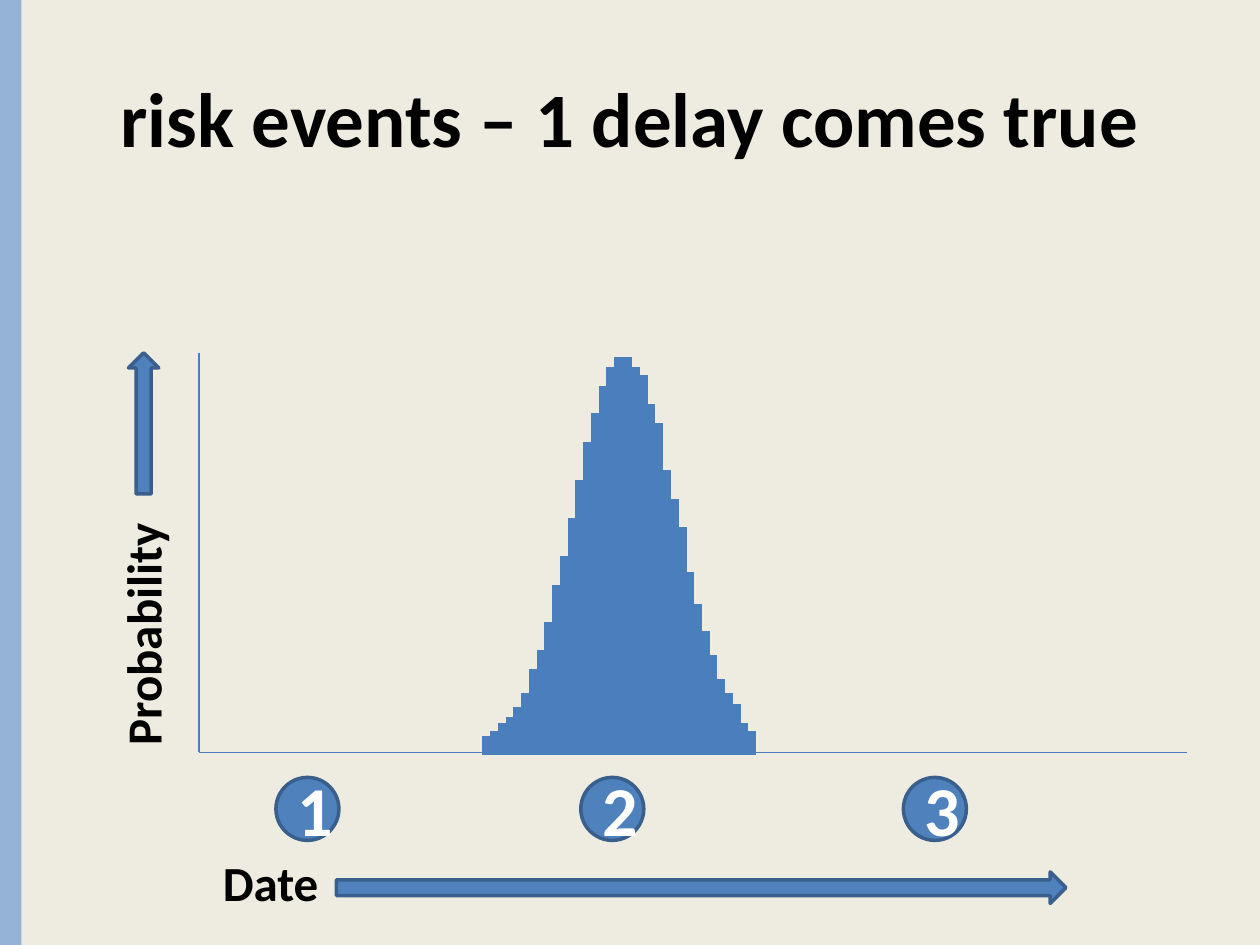
from lxml import etree
from pptx import Presentation
from pptx import util as u
from pptx.dml import color
from pptx.enum import shapes, text
from pptx.oxml import ns

COLORS = {
    "background": "EEECE1",
    "stripe": "95B3D7",
    "curve": "4B7EBC",
    "fill": "4F81BD",
    "outline": "3A5F8C",
    "dark": "000000",
    "light": "FFFFFF",
}
BASELINE = 5.99
FIRST_BAR = 3.87
BAR_STEP = 2.09 / 34
BAR_TOPS = [
    5.84, 5.80, 5.74, 5.69, 5.61, 5.50, 5.31, 5.16, 4.94, 4.64, 4.41, 4.11,
    3.81, 3.51, 3.28, 3.06, 2.91, 2.83, 2.83, 2.91, 2.98, 3.21, 3.36, 3.73,
    3.96, 4.18, 4.54, 4.79, 5.01, 5.20, 5.39, 5.50, 5.59, 5.74, 5.80,
]
MILESTONES = [("1", 2.19), ("2", 4.61), ("3", 7.17)]


def rgb(name):
    return color.RGBColor.from_string(COLORS[name])


def inches(*lengths):
    return [u.Inches(length) for length in lengths]


def write(frame, words, size, ink, align=text.PP_ALIGN.LEFT):
    para = frame.paragraphs[0]
    para.alignment = align
    span = para.add_run()
    span.text = words
    span.font.name = "Calibri"
    span.font.size = u.Pt(size)
    span.font.bold = True
    span.font.color.rgb = rgb(ink)


def add_title(page, words):
    title = page.shapes.title
    title.left, title.top, title.width, title.height = inches(0.5, 0.3, 9, 1.25)
    title.text_frame.vertical_anchor = text.MSO_ANCHOR.MIDDLE
    write(title.text_frame, words, 44, "dark", text.PP_ALIGN.CENTER)


def add_shape(page, kind, place, fill="fill", outline="outline"):
    shape = page.shapes.add_shape(kind, *inches(*place))
    shape.shadow.inherit = False
    shape.fill.solid()
    shape.fill.fore_color.rgb = rgb(fill)
    if outline:
        shape.line.color.rgb = rgb(outline)
        shape.line.width = u.Pt(2)
    else:
        shape.line.fill.background()
    return shape


def add_line(owner, start, end, width):
    line = owner.shapes.add_connector(
        shapes.MSO_CONNECTOR.STRAIGHT, *inches(*start, *end))
    line.line.color.rgb = rgb("curve")
    line.line.width = u.Pt(width)
    properties = line.element.find(ns.qn("p:spPr"))
    etree.SubElement(properties, ns.qn("a:effectLst"))


def add_label(page, words, place, rotation=0):
    box = page.shapes.add_textbox(*inches(*place))
    box.rotation = rotation
    box.text_frame.word_wrap = True
    box.text_frame.auto_size = text.MSO_AUTO_SIZE.SHAPE_TO_FIT_TEXT
    write(box.text_frame, words, 28, "dark")


def add_arrow(page, place, rotation=0):
    arrow = add_shape(page, shapes.MSO_SHAPE.RIGHT_ARROW, place)
    arrow.rotation = rotation


def add_milestone(page, number, left):
    circle = add_shape(page, shapes.MSO_SHAPE.OVAL, (left, 6.17, 0.5, 0.5))
    circle.text_frame.vertical_anchor = text.MSO_ANCHOR.MIDDLE
    write(circle.text_frame, number, 40, "light", text.PP_ALIGN.CENTER)


def add_distribution(page):
    group = page.shapes.add_group_shape()
    for index, top in enumerate(BAR_TOPS):
        x = FIRST_BAR + index * BAR_STEP
        add_line(group, (x, BASELINE), (x, top), 6)


def main():
    deck = Presentation()
    deck.slide_width, deck.slide_height = inches(10, 7.5)
    page = deck.slides.add_slide(deck.slide_layouts.get_by_name("Title Only"))
    page.background.fill.solid()
    page.background.fill.fore_color.rgb = rgb("background")

    add_shape(page, shapes.MSO_SHAPE.RECTANGLE, (0, 0, 0.17, 7.5), "stripe", None)
    add_title(page, "risk events – 1 delay comes true")

    add_line(page, (1.58, 2.8), (1.58, 5.97), 0.75)
    add_line(page, (9.42, 5.97), (1.58, 5.97), 0.75)
    add_distribution(page)
    for number, left in MILESTONES:
        add_milestone(page, number, left)

    add_label(page, "Date", (1.67, 6.72, 1.27, 0.57))
    add_arrow(page, (2.67, 6.92, 5.79, 0.25))
    add_label(page, "Probability", (-0.17, 4.43, 2.6, 0.57), 270)
    add_arrow(page, (0.58, 3.24, 1.12, 0.24), 270)
    deck.save("out.pptx")


if __name__ == "__main__":
    main()
